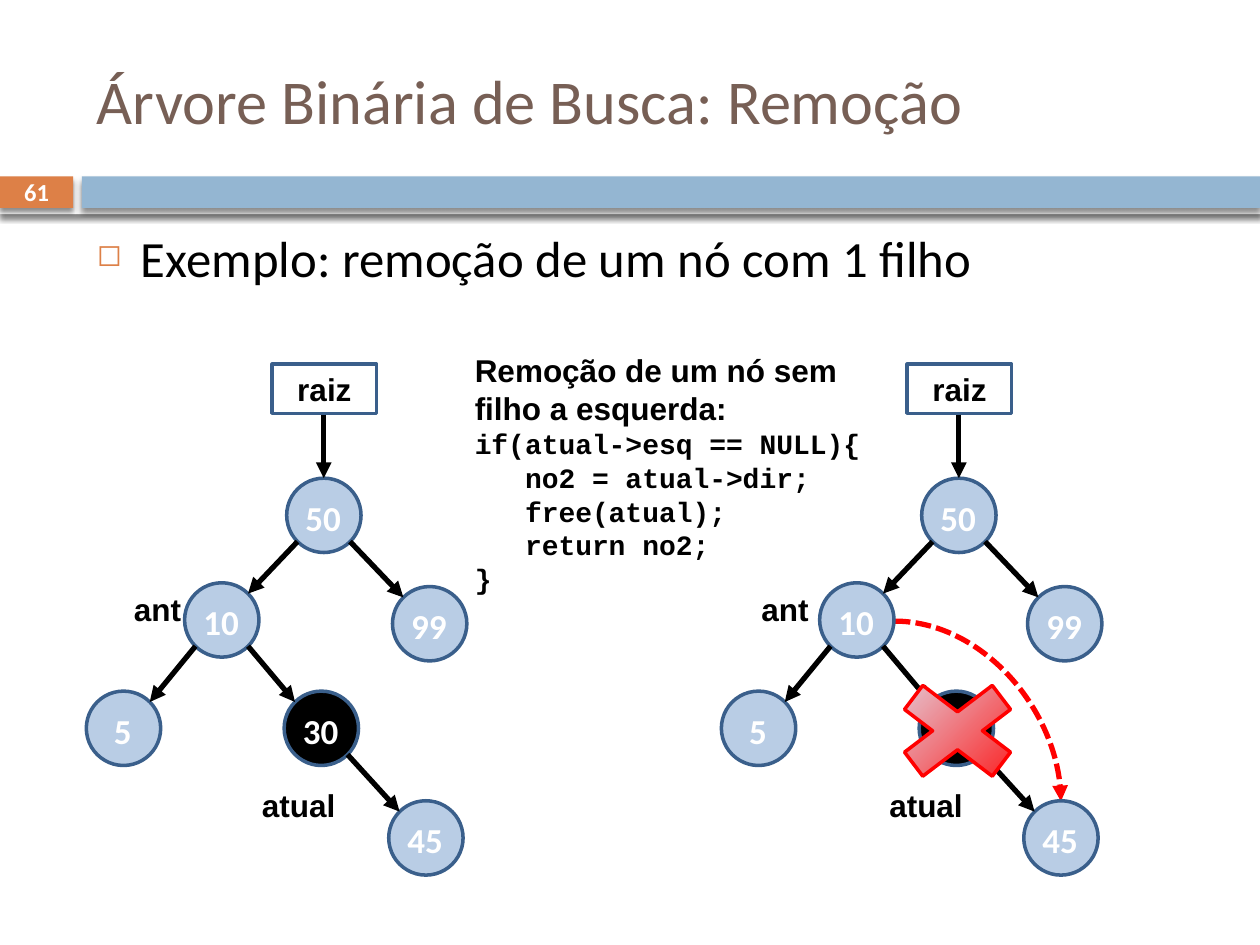
from typing import NamedTuple

from lxml.etree import SubElement
from pptx import Presentation
from pptx.dml.color import RGBColor
from pptx.enum.dml import MSO_LINE as Dash
from pptx.enum.shapes import MSO_CONNECTOR as Conn, MSO_SHAPE as Shape
from pptx.enum.text import MSO_ANCHOR as Anchor, PP_ALIGN as Align
from pptx.oxml.ns import qn
from pptx.util import Inches, Pt

COLS, ROWS = 100, 75
NODE = 5.9
DIAGONAL = NODE / 2 * 0.5 ** 0.5
BLUE, PALE, BLACK, WHITE, RED = "3A5F8B", "B9CDE5", "000000", "FFFFFF", "FF0000"

prs = Presentation()
prs.slide_width, prs.slide_height = Inches(10), Inches(7.5)
s = prs.slides.add_slide(prs.slide_layouts[6])


class Box(NamedTuple):
    col: float
    row: float
    cols: float
    rows: float


class Style(NamedTuple):
    size: float
    font: str
    color: str = BLACK
    bold: bool = True


class Node(NamedTuple):
    key: str
    col: float
    row: float
    fill: str = PALE


class Edge(NamedTuple):
    parent: str
    child: str
    side: int


TITLE = Style(35.6, "Calibri", "775F55", False)
BODY = Style(29, "Calibri", BLACK, False)
NUMBER = Style(14, "Calibri", WHITE)
KEY = Style(20, "Calibri", WHITE)
LABEL = Style(18, "Arial")
CODE = Style(16, "Courier New")

NODES = [
    Node("50", 25.7, 40.9),
    Node("10", 17.6, 49.2),
    Node("99", 34.1, 49.5),
    Node("5", 9.8, 57.8),
    Node("30", 25.5, 57.8, BLACK),
    Node("45", 33.8, 66.5),
]
EDGES = [
    Edge("50", "10", -1),
    Edge("50", "99", 1),
    Edge("10", "5", -1),
    Edge("10", "30", 1),
    Edge("30", "45", 1),
]
SNIPPET = [
    "if(atual->esq == NULL){",
    "   no2 = atual->dir;",
    "   free(atual);",
    "   return no2;",
    "}",
]


def x(col: float) -> int:
    return round(prs.slide_width * col / COLS)


def y(row: float) -> int:
    return round(prs.slide_height * row / ROWS)


def rgb(value: str) -> RGBColor:
    return RGBColor.from_string(value)


def place(box: Box) -> tuple:
    return x(box.col), y(box.row), x(box.cols), y(box.rows)


def apply(target, values: dict) -> None:
    for name, value in values.items():
        setattr(target, name, value)


def write(p, text: str, style: Style, align=Align.LEFT) -> None:
    p.alignment = align
    r = p.add_run()
    r.text = text
    apply(r.font, {"size": Pt(style.size), "name": style.font, "bold": style.bold})
    r.font.color.rgb = rgb(style.color)


def add_text(box: Box, text: str, style: Style, align=Align.LEFT, anchor=Anchor.TOP):
    tf = s.shapes.add_textbox(*place(box)).text_frame
    apply(tf, {"word_wrap": True, "vertical_anchor": anchor})
    write(tf.paragraphs[0], text, style, align)
    return tf


def add_shape(kind, box: Box, fill: str = "", line: str = ""):
    sp = s.shapes.add_shape(kind, *place(box))
    sp.shadow.inherit = False
    if fill:
        sp.fill.solid()
        sp.fill.fore_color.rgb = rgb(fill)
    else:
        sp.fill.background()
    if line:
        sp.line.color.rgb = rgb(line)
        sp.line.width = Pt(2)
    else:
        sp.line.fill.background()
    return sp


def add_bar(box: Box, fill: str):
    sp = add_shape(Shape.RECTANGLE, box, fill)
    effects = sp._element.spPr.find(qn("a:effectLst"))
    shadow = SubElement(effects, qn("a:outerShdw"), blurRad=str(Pt(3)),
                        dist=str(Pt(2.4)), dir="5400000", rotWithShape="0")
    color = SubElement(shadow, qn("a:srgbClr"), val=BLACK)
    SubElement(color, qn("a:alpha"), val="45000")
    return sp


def add_arrow(start: tuple, end: tuple, color: str = BLACK, kind=Conn.STRAIGHT):
    c = s.shapes.add_connector(kind, x(start[0]), y(start[1]), x(end[0]), y(end[1]))
    c.line.color.rgb = rgb(color)
    c.line.width = Pt(3)
    SubElement(c.line._get_or_add_ln(), qn("a:tailEnd"), type="triangle")
    SubElement(c._element.spPr, qn("a:effectLst"))
    return c


def add_bypass(start: tuple, end: tuple) -> None:
    c = add_arrow(start, end, RED, Conn.CURVE)
    c.line.dash_style = Dash.SQUARE_DOT
    c._element.spPr.find(qn("a:prstGeom")).set("prst", "curvedConnector2")


def add_tree(left: float) -> None:
    spots = {n.key: (left + n.col, n.row) for n in NODES}
    for n in NODES:
        col, row = spots[n.key]
        add_shape(Shape.OVAL, Box(col - NODE / 2, row - NODE / 2, NODE, NODE), n.fill, BLUE)
    for e in EDGES:
        (pc, pr), (cc, cr) = spots[e.parent], spots[e.child]
        shift = e.side * DIAGONAL
        add_arrow((pc + shift, pr + DIAGONAL), (cc - shift, cr - DIAGONAL))
    root = add_shape(Shape.RECTANGLE, Box(left + 21.6, 28.9, 8.3, 3.9), "", BLUE)
    write(root.text_frame.paragraphs[0], "raiz", LABEL, Align.CENTER)
    col, row = spots["50"]
    add_arrow((col, 32.9), (col, row - NODE / 2))
    for key, (col, row) in spots.items():
        add_text(Box(col - 2.6, row - 2, 5.1, 4.3), key, KEY, Align.CENTER)


add_bar(Box(0, 13.5, 100, 3.5), WHITE)
badge = add_bar(Box(0, 14, 5.8, 2.5), "DD8047")
write(badge.text_frame.paragraphs[0], "61", NUMBER, Align.CENTER)
add_bar(Box(6.5, 14, 93.5, 2.5), "94B6D2")
add_text(Box(6.7, 2.5, 89.2, 10.8), "Árvore Binária de Busca: Remoção", TITLE,
         anchor=Anchor.MIDDLE)

body = add_text(Box(6.7, 17.5, 89.2, 49.2), "Exemplo: remoção de um nó com 1 filho", BODY)
pPr = body.paragraphs[0]._p.get_or_add_pPr()
apply_indent = {"marL": Inches(0.35), "indent": Inches(-0.35)}
for name, value in apply_indent.items():
    pPr.set(name, str(value))
SubElement(SubElement(pPr, qn("a:buClr")), qn("a:srgbClr"), val="DD8047")
SubElement(pPr, qn("a:buSzPct"), val="60000")
SubElement(pPr, qn("a:buChar"), char="◻")

add_tree(0)
add_bypass((71, 49.3), (84.2, 63.6))
add_tree(50.4)

cross = add_shape(Shape.MATH_MULTIPLY, Box(69.3, 52.9, 13.4, 10.2), RED, RED)
cross.adjustments[0] = 0.235
cross.fill.gradient()
cross.fill.gradient_angle = 315
for stop, position, color in zip(cross.fill.gradient_stops, (0, 1), ("E0E8F5", RED)):
    stop.position = position
    stop.color.rgb = rgb(color)

for left in (0, 49.8):
    add_text(Box(left + 7.5, 46.3, 10, 4), "ant", LABEL, Align.CENTER)
    add_text(Box(left + 18.7, 61.9, 10, 4), "atual", LABEL, Align.CENTER)

code = add_text(Box(36.7, 27.4, 33.4, 20.3), "Remoção de um nó sem filho a esquerda:", LABEL)
for text in SNIPPET:
    write(code.add_paragraph(), text, CODE)

prs.save("out.pptx")
